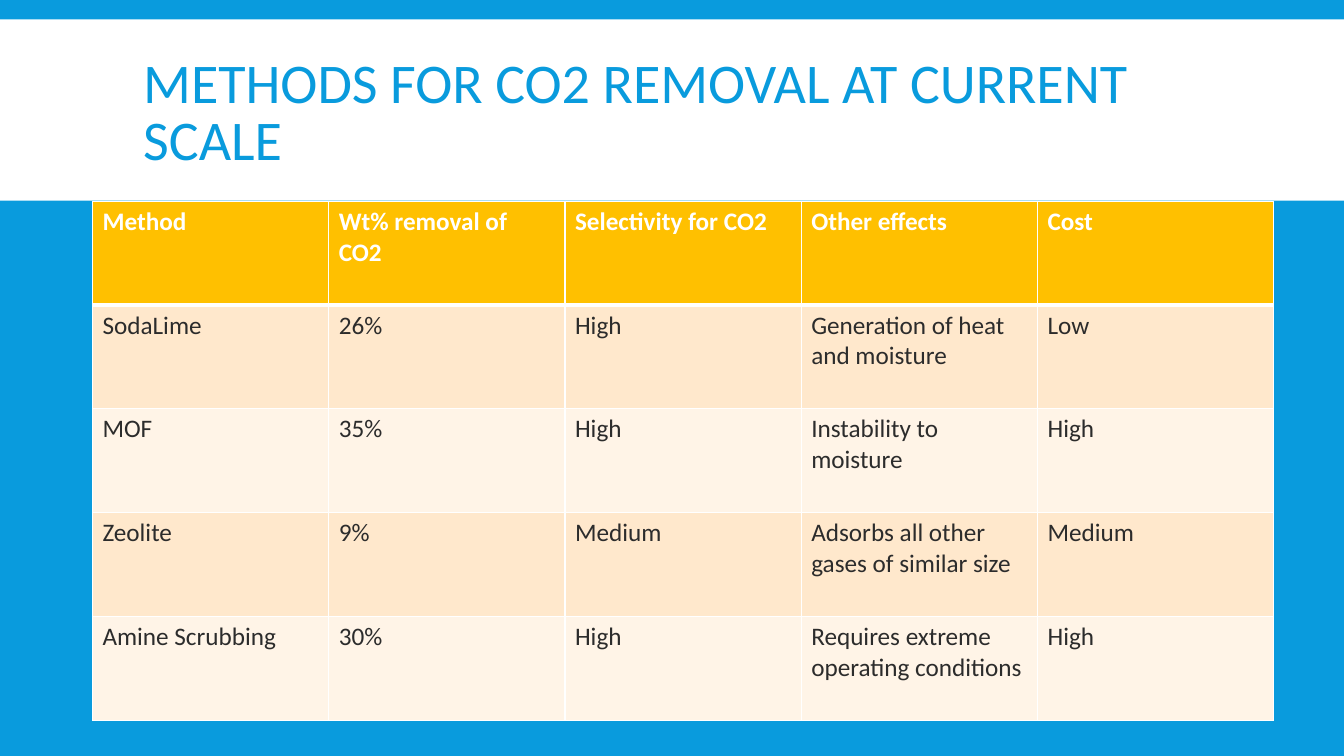
import pptx
import pptx.util
import pptx.dml.color
import pptx.enum.shapes
import pptx.enum.text
from lxml import etree
from pptx.oxml.ns import qn

Cm = pptx.util.Cm
RGB = pptx.dml.color.RGBColor
BLUE = RGB(0x09, 0x9B, 0xDD)
WHITE = RGB(0xFF, 0xFF, 0xFF)
GOLD = RGB(0xFF, 0xC0, 0x00)
PEACH = RGB(0xFF, 0xE8, 0xCC)
CREAM = RGB(0xFF, 0xF4, 0xE7)
INK = RGB(0x2C, 0x2C, 0x2C)

ROWS = [
    ["Method", "Wt% removal of CO2", "Selectivity for CO2", "Other effects", "Cost"],
    ["SodaLime", "26%", "High", "Generation of heat and moisture", "Low"],
    ["MOF", "35%", "High", "Instability to moisture", "High"],
    ["Zeolite", "9%", "Medium", "Adsorbs all other gases of similar size", "Medium"],
    ["Amine Scrubbing", "30%", "High", "Requires extreme operating conditions", "High"],
]


def write(frame, text, size=18, color=INK, bold=False, space=None):
    para = frame.paragraphs[0]
    para.line_spacing = space
    run = para.add_run()
    run.text = text
    run.font.name = "Calibri"
    run.font.size = pptx.util.Pt(size)
    run.font.bold = bold
    run.font.color.rgb = color


def border(cell, side, width):
    line = etree.SubElement(cell._tc.get_or_add_tcPr(), qn(f"a:ln{side}"))
    line.set("w", str(pptx.util.Pt(width)))
    fill = etree.SubElement(line, qn("a:solidFill"))
    etree.SubElement(fill, qn("a:srgbClr")).set("val", str(WHITE))


class Deck:
    font_size = 18

    def __init__(self):
        self.show = pptx.Presentation()
        self.show.slide_width = Cm(33.87)
        self.show.slide_height = Cm(19.05)
        self.slide = self.show.slides.add_slide(self.show.slide_layouts[6])
        fill = self.slide.background.fill
        fill.solid()
        fill.fore_color.rgb = BLUE

    def band(self, left, top, width, height):
        kind = pptx.enum.shapes.MSO_SHAPE.RECTANGLE
        shape = self.slide.shapes.add_shape(kind, Cm(left), Cm(top), Cm(width), Cm(height))
        shape.shadow.inherit = False
        shape.fill.solid()
        shape.fill.fore_color.rgb = WHITE
        shape.line.fill.background()

    def title(self, text, left, top, width, height):
        box = self.slide.shapes.add_textbox(Cm(left), Cm(top), Cm(width), Cm(height))
        frame = box.text_frame
        frame.word_wrap = True
        frame.vertical_anchor = pptx.enum.text.MSO_ANCHOR.MIDDLE
        write(frame, text, size=40, color=BLUE, space=0.85)

    def table(self, rows, left, top, width, height):
        count = len(rows[0])
        grid = self.slide.shapes.add_table(
            len(rows), count, Cm(left), Cm(top), Cm(width), Cm(height)).table
        for r, row in enumerate(rows):
            head = r == 0
            shade = GOLD if head else PEACH if r % 2 else CREAM
            for c, text in enumerate(row):
                cell = grid.cell(r, c)
                for side in "LRTB":
                    thick = (r, side) in [(0, "B"), (1, "T")]
                    border(cell, side, 3 if thick else 1)
                cell.fill.solid()
                cell.fill.fore_color.rgb = shade
                write(cell.text_frame, text, size=self.font_size,
                      color=WHITE if head else INK, bold=head)


def main():
    deck = Deck()
    deck.band(0, 0.49, 33.87, 4.57)
    deck.title("METHODS FOR CO2 REMOVAL AT CURRENT SCALE", 3.36, 0.79, 27.18, 4.19)
    deck.table(ROWS, 2.33, 5.07, 29.77, 13.08)
    deck.show.save("out.pptx")


if __name__ == "__main__":
    main()
